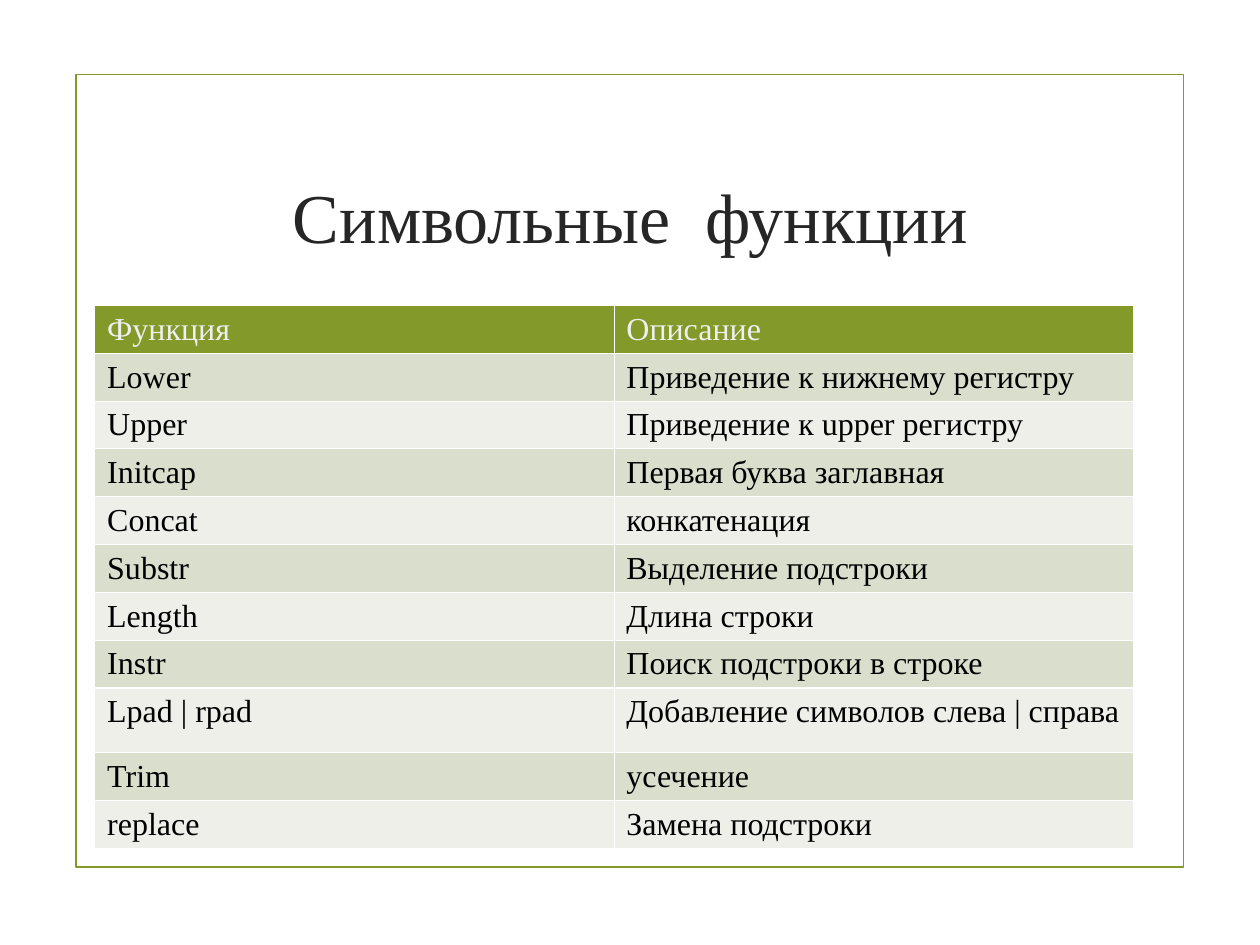
from lxml.etree import SubElement
from pptx import Presentation
from pptx.dml.color import RGBColor
from pptx.enum.shapes import MSO_SHAPE as Shape
from pptx.enum.text import MSO_ANCHOR as Anchor, PP_ALIGN as Align
from pptx.oxml.ns import qn
from pptx.util import Inches, Pt

HEADING = "Символьные  функции"
FUNCTIONS = [
    ("Функция", "Описание"),
    ("Lower", "Приведение к нижнему регистру"),
    ("Upper", "Приведение к upper регистру"),
    ("Initcap", "Первая буква заглавная"),
    ("Concat", "конкатенация"),
    ("Substr", "Выделение подстроки"),
    ("Length", "Длина строки"),
    ("Instr", "Поиск подстроки в строке"),
    ("Lpad | rpad", "Добавление символов слева | cправа"),
    ("Trim", "усечение"),
    ("replace", "Замена подстроки"),
]
TALL_ROW = 8
ROW_HEIGHT, TALL_HEIGHT = 0.54, 0.73
COLUMN_WIDTH = 5.86
FONT = "Times New Roman"
GREEN, WHITE, PALE = "83992A", "FFFFFF", "EFEFEF"
BANDS = ["EDEFE8", "D9DECD"]


def color(code):
    return RGBColor.from_string(code)


def place(*lengths):
    return [Inches(length) for length in lengths]


def style(paragraph, size, code, align):
    paragraph.alignment = align
    paragraph.font.name = FONT
    paragraph.font.size = Pt(size)
    paragraph.font.color.rgb = color(code)


def add_borders(cell):
    properties = cell._tc.get_or_add_tcPr()
    for side in ("a:lnL", "a:lnR", "a:lnT", "a:lnB"):
        edge = SubElement(properties, qn(side), w=str(Pt(1)))
        fill = SubElement(edge, qn("a:solidFill"))
        SubElement(fill, qn("a:srgbClr"), val=WHITE)


def add_frame(slide):
    frame = slide.shapes.add_shape(Shape.RECTANGLE, *place(0.86, 0.84, 12.5, 8.95))
    frame.shadow.inherit = False
    frame.fill.background()
    frame.line.color.rgb = color(GREEN)
    frame.line.width = Pt(1.25)


def add_heading(slide):
    title = slide.shapes.title
    title.left, title.top, title.width, title.height = place(1.83, 1.42, 10.57, 2.03)
    title.text_frame.text = HEADING
    title.text_frame.vertical_anchor = Anchor.MIDDLE
    style(title.text_frame.paragraphs[0], 56.9, "262626", Align.CENTER)


def add_functions(slide):
    rows, columns = len(FUNCTIONS), len(FUNCTIONS[0])
    height = ROW_HEIGHT * (rows - 1) + TALL_HEIGHT
    bounds = place(1.07, 3.45, COLUMN_WIDTH * columns, height)
    table = slide.shapes.add_table(rows, columns, *bounds).table
    for r, entry in enumerate(FUNCTIONS):
        table.rows[r].height = Inches(TALL_HEIGHT if r == TALL_ROW else ROW_HEIGHT)
        for c, wording in enumerate(entry):
            cell = table.cell(r, c)
            cell.text = wording
            cell.margin_left = cell.margin_right = Inches(0.14)
            cell.margin_top = cell.margin_bottom = Inches(0.07)
            add_borders(cell)
            cell.fill.solid()
            cell.fill.fore_color.rgb = color(BANDS[r % 2] if r else GREEN)
            style(cell.text_frame.paragraphs[0], 26, "000000" if r else PALE, Align.LEFT)


def main():
    deck = Presentation()
    deck.slide_width, deck.slide_height = place(14.22, 10.67)
    slide = deck.slides.add_slide(deck.slide_layouts[5])
    slide.background.fill.solid()
    slide.background.fill.fore_color.rgb = color(WHITE)
    add_frame(slide)
    add_heading(slide)
    add_functions(slide)
    deck.save("out.pptx")


if __name__ == "__main__":
    main()
